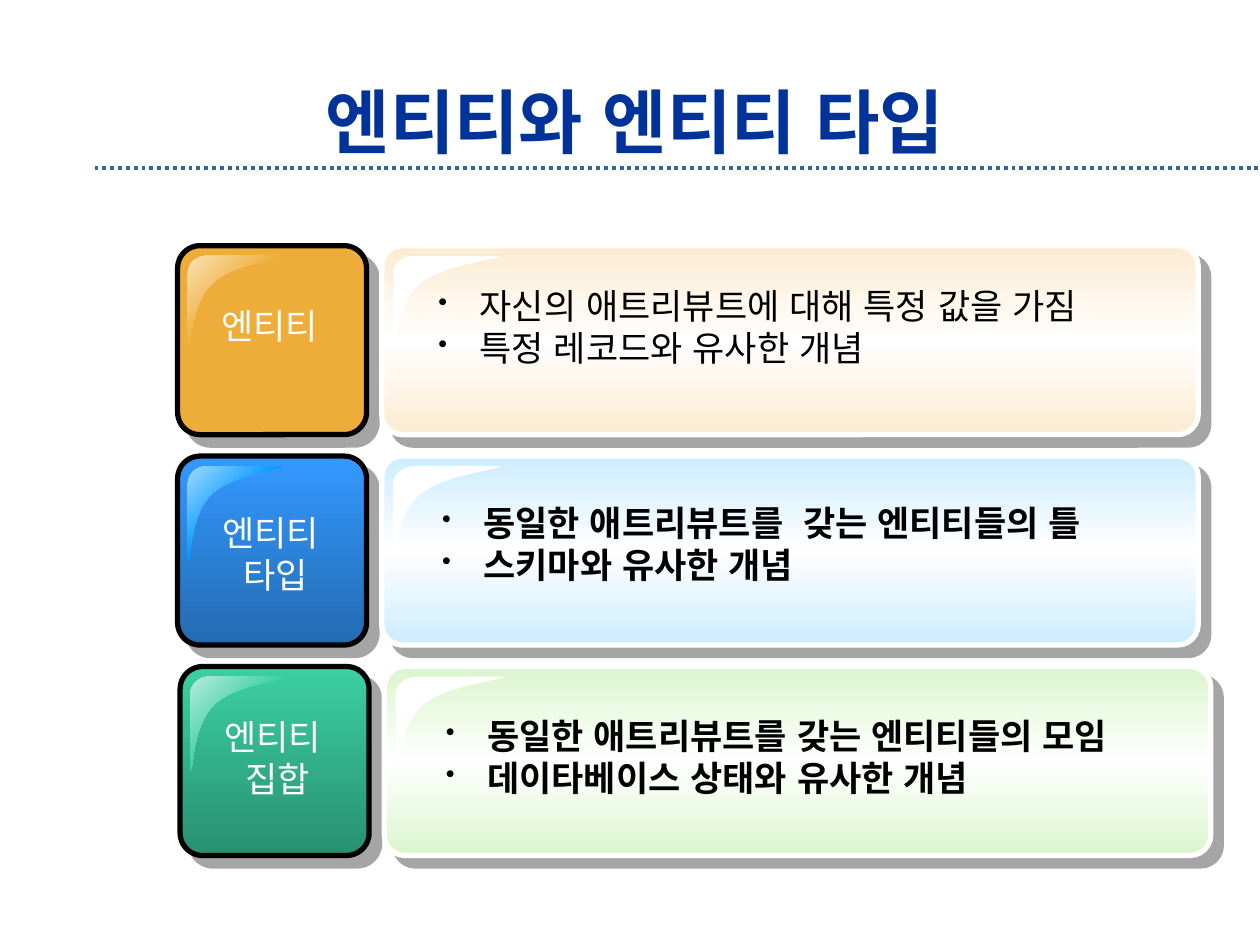
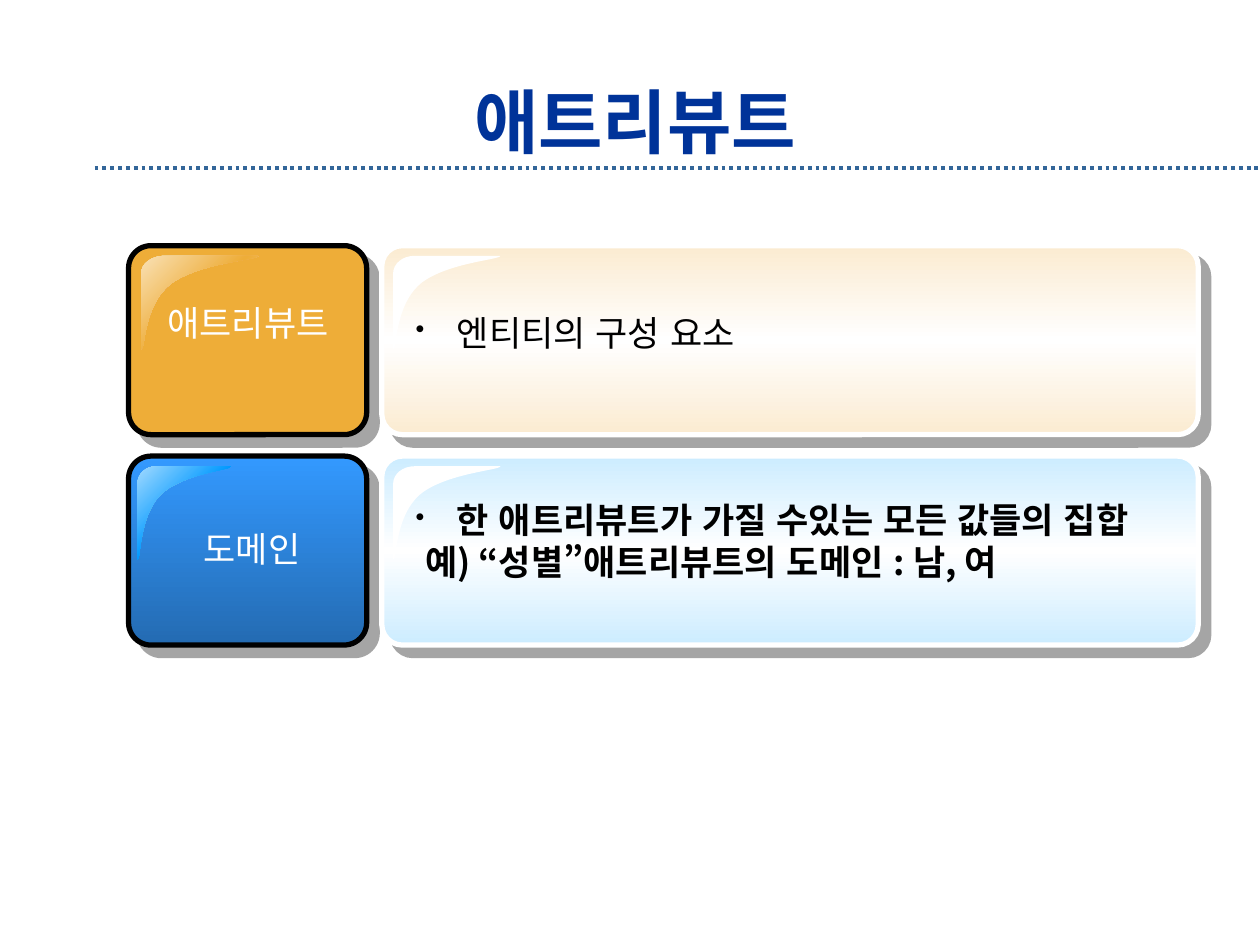
from dataclasses import dataclass
from itertools import chain

from lxml.etree import SubElement
from pptx import Presentation
from pptx.dml.color import RGBColor
from pptx.enum.dml import MSO_LINE
from pptx.enum.shapes import MSO_CONNECTOR, MSO_SHAPE
from pptx.enum.text import MSO_ANCHOR, MSO_AUTO_SIZE, PP_ALIGN
from pptx.oxml.ns import qn
from pptx.util import Pt

PX = 9144  # 100 px to the inch
FONT = "Noto Sans CJK KR"
NAVY, RULE_BLUE, BLACK, WHITE = "003399", "336699", "000000", "FFFFFF"
SHADOW_GREY = "4D4D4D"
ROW_TOP, ROW_STEP, ROW_HEIGHT = 195, 167, 150
BULLET_INDENT = 25
GLOSS_HEIGHT = 75

# Corner highlight in unit coordinates: a start, then lines (1 point) and curves (3 points)
GLOSS_START = (0.2, 0)
GLOSS_PARTS = [
    [(0.09, 0), (0, 0.08), (0, 0.19)],
    [(0, 0.99)],
    [(0.04, 1), (0.01, 0.51), (0.27, 0.28)],
    [(0.52, 0.07), (1, 0.04), (0.99, 0)],
]


@dataclass
class Theme:
    tile: list
    tile_gloss: list
    panel: list


ORANGE = Theme(["EEAD38"], ["F9E1B6", "EEAD38", "F9E1B6"], ["FBEBD1", WHITE, "FBEBD1"])
BLUE = Theme(["3399FF", "246BB2"], ["A2DAFF", "0099FF", "A2DAFF"], ["CCECFF", WHITE, "CCECFF"])
GREEN = Theme(["3BCFA1", "299070"], ["B8EDDD", "3BCFA1", "B8EDDD"], ["DBF5CD", WHITE, "DBF5CD"])


@dataclass
class Row:
    theme: Theme
    term: list
    term_box: tuple
    points: list
    points_box: tuple
    tile: tuple  # left, width
    tile_gloss: tuple  # left, width
    panel: tuple = (303, 648)
    panel_gloss: tuple = (312, 86)
    bold: bool = True


SLIDES = {
    "엔티티와 엔티티 타입": [
        Row(ORANGE, ["엔티티"], (164, 237, 100, 44),
            ["• 자신의 애트리뷰트에 대해 특정 값을 가짐", "• 특정 레코드와 유사한 개념"],
            (338, 221, 582, 77), (141, 150), (149, 75), bold=False),
        Row(BLUE, ["엔티티 ", "타입"], (164, 401, 109, 77),
            ["• 동일한 애트리뷰트를  갖는 엔티티들의 틀", "• 스키마와 유사한 개념"],
            (341, 393, 582, 77), (141, 150), (149, 75)),
        Row(GREEN, ["엔티티 ", "집합"], (166, 563, 109, 77),
            ["• 동일한 애트리뷰트를 갖는 엔티티들의 모임", "• 데이타베이스 상태와 유사한 개념"],
            (344, 562, 589, 77), (143, 150), (151, 75), (305, 656), (314, 87)),
    ],
    "애트리뷰트": [
        Row(ORANGE, ["애트리뷰트"], (120, 234, 154, 44),
            ["• 엔티티의 구성 요소"],
            (320, 242, 582, 44), (102, 189), (112, 94), bold=False),
        Row(BLUE, ["도메인"], (150, 414, 100, 44),
            ["• 한 애트리뷰트가 가질 수있는 모든 값들의 집합",
             " 예) “성별”애트리뷰트의 도메인 : 남, 여"],
            (320, 391, 617, 77), (102, 189), (109, 75)),
    ],
}


def rgb(color):
    return RGBColor.from_string(color)


def emu(*lengths):
    return [length * PX for length in lengths]


def paint(shape, colors, angle):
    """Fill with one colour, or with a gradient of evenly spaced stops."""
    if len(colors) == 1:
        shape.fill.solid()
        shape.fill.fore_color.rgb = rgb(colors[0])
        return
    shape.fill.gradient()
    shape.fill.gradient_angle = 360 - angle
    stops = shape._element.spPr.find(qn("a:gradFill")).find(qn("a:gsLst"))
    for stop in list(stops):
        stops.remove(stop)
    for i, color in enumerate(colors):
        stop = SubElement(stops, qn("a:gs"), pos=str(100000 * i // (len(colors) - 1)))
        SubElement(stop, qn("a:srgbClr"), val=color)


def drop_shadow(shape):
    shape.shadow.inherit = False
    effects = shape._element.spPr.find(qn("a:effectLst"))
    shadow = SubElement(effects, qn("a:outerShdw"), blurRad="0", dist=str(Pt(8.5)),
                        dir=str(45 * 60000), algn="ctr", rotWithShape="0")
    color = SubElement(shadow, qn("a:srgbClr"), val=SHADOW_GREY)
    SubElement(color, qn("a:alpha"), val="50000")


def add_card(slide, top, span, colors, outline, roundness):
    left, width = span
    card = slide.shapes.add_shape(MSO_SHAPE.ROUNDED_RECTANGLE, *emu(left, top, width, ROW_HEIGHT))
    card.adjustments[0] = roundness
    paint(card, colors, 90)
    card.line.color.rgb = rgb(outline)
    card.line.width = Pt(3)
    drop_shadow(card)


def bend_outline(freeform, parts):
    """Join the segments of each three-point part into one cubic curve."""
    segments = list(freeform._element.iter(qn("a:lnTo")))
    for part in parts:
        group, segments = segments[:len(part)], segments[len(part):]
        if len(group) == 3:
            outline = group[0].getparent()
            curve = outline.makeelement(qn("a:cubicBezTo"))
            group[0].addprevious(curve)
            for segment in group:
                curve.append(segment[0])
                outline.remove(segment)


def add_gloss(slide, top, span, colors):
    left, width = span

    def place(point):
        return (round((left + point[0] * width) * PX),
                round((top + point[1] * GLOSS_HEIGHT) * PX))

    outline = slide.shapes.build_freeform(*place(GLOSS_START))
    outline.add_line_segments([place(p) for p in chain.from_iterable(GLOSS_PARTS)])
    gloss = outline.convert_to_shape()
    bend_outline(gloss, GLOSS_PARTS)
    paint(gloss, colors, 45)
    gloss.line.fill.background()
    gloss.shadow.inherit = False


def add_font(run, size, color, bold):
    for name, value in {"name": FONT, "size": Pt(size), "bold": bold}.items():
        setattr(run.font, name, value)
    run.font.color.rgb = rgb(color)
    properties = run._r.get_or_add_rPr()
    properties.set("lang", "ko-KR")
    SubElement(properties, qn("a:ea"), typeface=FONT)


def add_bullet(paragraph):
    properties = paragraph._p.get_or_add_pPr()
    properties.set("marL", str(BULLET_INDENT * PX))
    properties.set("indent", str(-BULLET_INDENT * PX))
    color = SubElement(properties, qn("a:buClr"))
    SubElement(color, qn("a:srgbClr"), val=BLACK)
    SubElement(properties, qn("a:buSzPct"), val="75000")
    SubElement(properties, qn("a:buChar"), char="•")


def add_text(slide, box, lines, color, align, wrap, bold=False):
    """Write one paragraph a line; a leading bullet sign makes it a list item."""
    frame = slide.shapes.add_textbox(*emu(*box)).text_frame
    frame.word_wrap = wrap
    frame.auto_size = MSO_AUTO_SIZE.SHAPE_TO_FIT_TEXT
    for i, line in enumerate(lines):
        paragraph = frame.add_paragraph() if i else frame.paragraphs[0]
        paragraph.alignment = align
        paragraph.line_spacing = Pt(24)
        if line.startswith("•"):
            add_bullet(paragraph)
        run = paragraph.add_run()
        run.text = line.removeprefix("•")
        add_font(run, 20, color, bold)


def add_row(slide, top, row):
    theme = row.theme
    add_card(slide, top, row.tile, theme.tile, BLACK, 0.119)
    add_gloss(slide, top + 8, row.tile_gloss, theme.tile_gloss)
    add_text(slide, row.term_box, row.term, WHITE, PP_ALIGN.CENTER, wrap=False)
    add_card(slide, top, row.panel, theme.panel, WHITE, 0.109)
    add_gloss(slide, top + 8, row.panel_gloss, [WHITE])
    add_text(slide, row.points_box, row.points, BLACK, PP_ALIGN.LEFT, wrap=True, bold=row.bold)


def set_title(slide, text):
    title = slide.shapes.title
    for side, length in zip(("left", "top", "width", "height"), emu(75, 67, 858, 58)):
        setattr(title, side, length)
    frame = title.text_frame
    for name, value in {"vertical_anchor": MSO_ANCHOR.MIDDLE, "word_wrap": True,
                        "margin_top": 0, "margin_bottom": 0}.items():
        setattr(frame, name, value)
    paragraph = frame.paragraphs[0]
    paragraph.alignment = PP_ALIGN.CENTER
    run = paragraph.add_run()
    run.text = text
    add_font(run, 40, NAVY, True)


def move_rule_to_layout(slide):
    """Draw the dotted title rule and hand it to the layout that all slides share."""
    rule = slide.shapes.add_connector(MSO_CONNECTOR.STRAIGHT, *emu(75, 133, 1000, 133))
    rule.line.color.rgb = rgb(RULE_BLUE)
    rule.line.width = Pt(2.25)
    rule.line.dash_style = MSO_LINE.ROUND_DOT
    SubElement(rule._element.spPr, qn("a:effectLst"))
    slide.slide_layout.shapes._spTree.append(rule._element)


def main():
    deck = Presentation()
    deck.slide_width, deck.slide_height = emu(1000, 750)
    title_only = deck.slide_layouts[5]
    for number, (title, rows) in enumerate(SLIDES.items()):
        slide = deck.slides.add_slide(title_only)
        if number == 0:
            move_rule_to_layout(slide)
        set_title(slide, title)
        for i, row in enumerate(rows):
            add_row(slide, ROW_TOP + i * ROW_STEP, row)
    deck.save("out.pptx")


if __name__ == "__main__":
    main()
